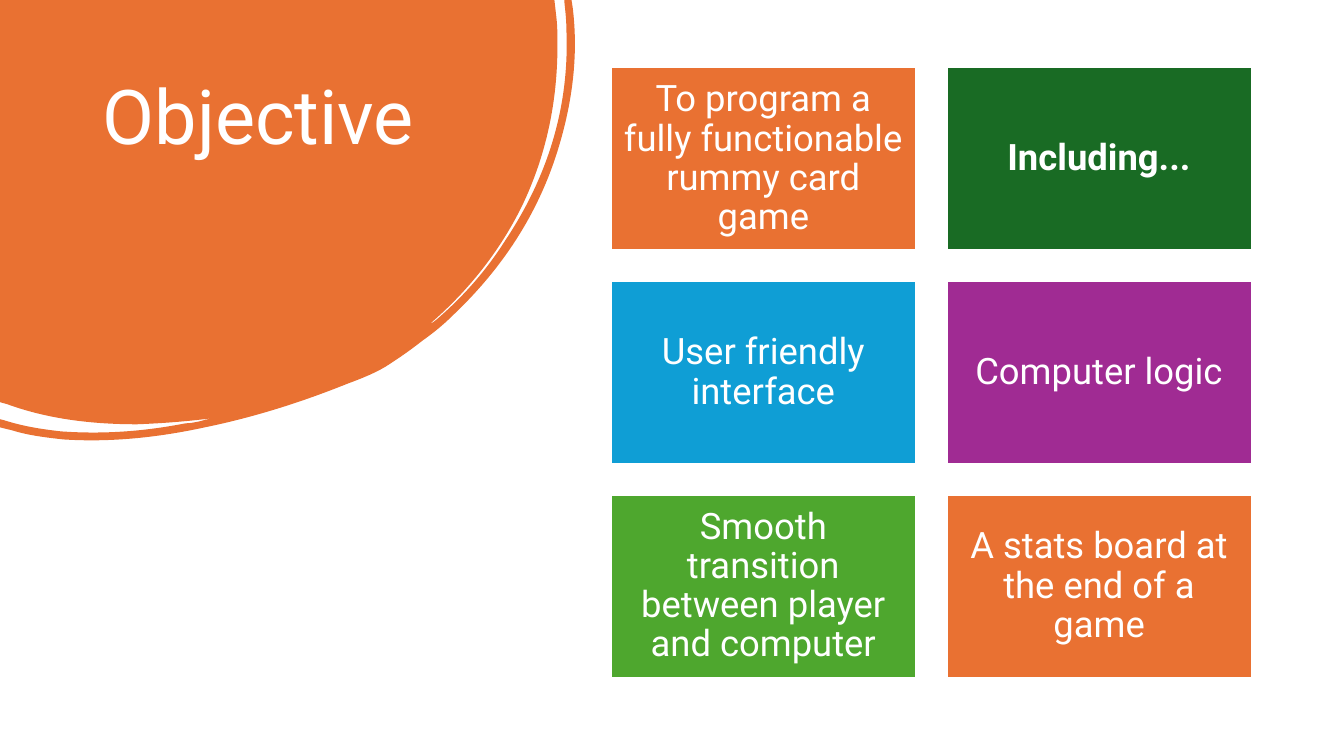
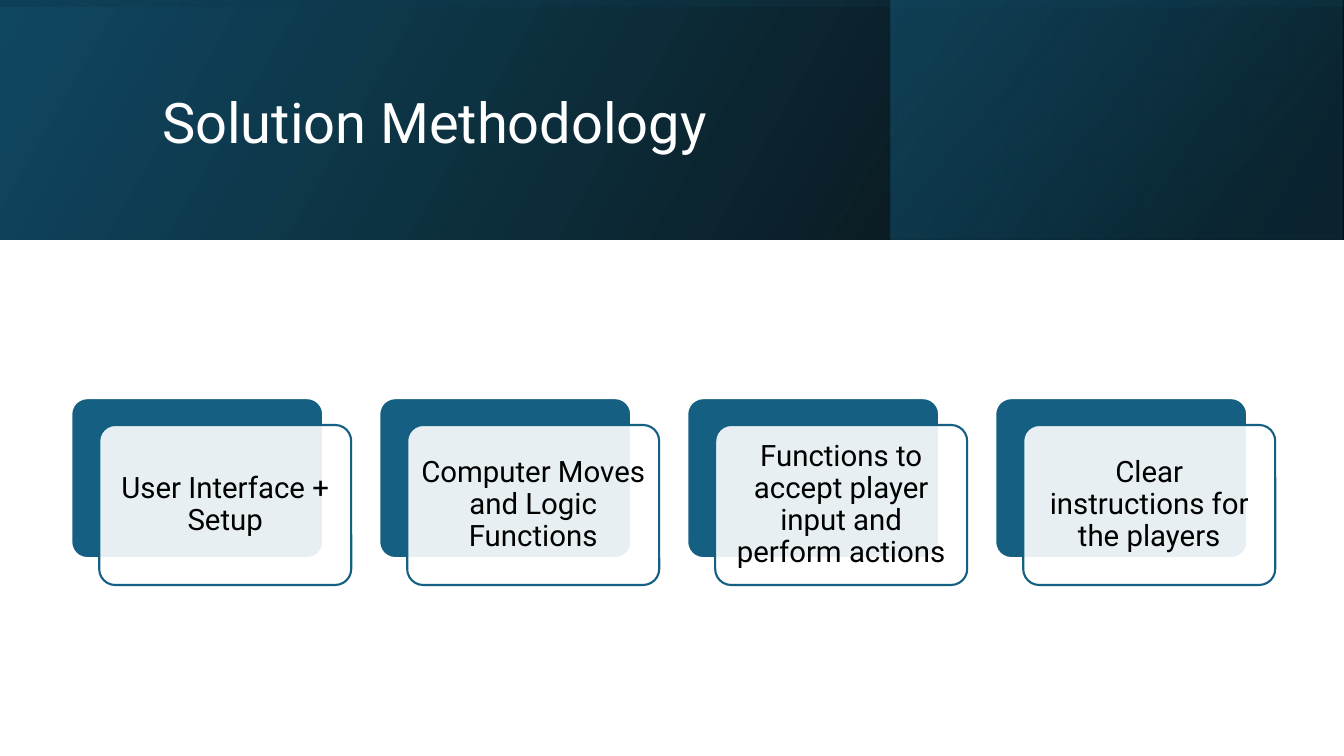
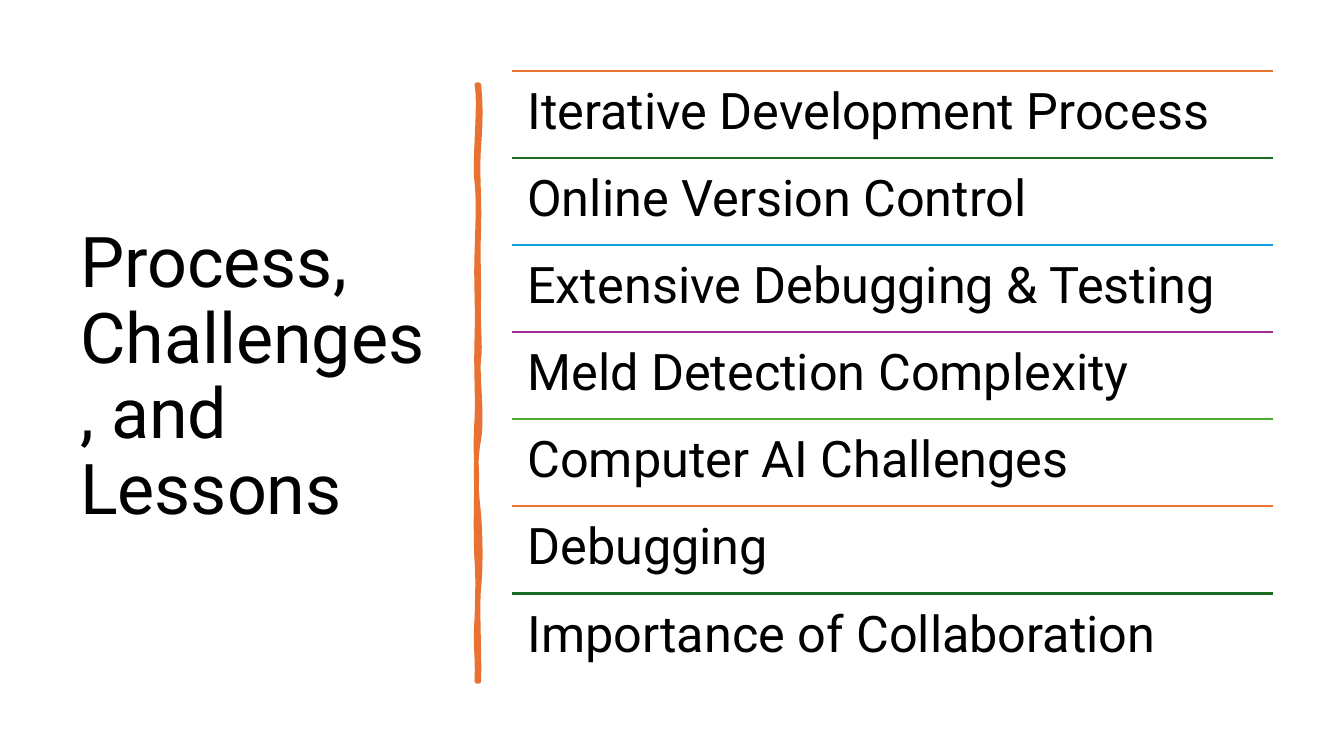
import pptx
import pptx.util
import pptx.dml.color
import pptx.enum.shapes
import pptx.enum.text
import pptx.oxml.ns
from lxml import etree

Pt = pptx.util.Pt
RGB = pptx.dml.color.RGBColor
SHAPE = pptx.enum.shapes.MSO_SHAPE
LINE = pptx.enum.shapes.MSO_CONNECTOR.STRAIGHT
ALIGN = pptx.enum.text.PP_ALIGN
ANCHOR = pptx.enum.text.MSO_ANCHOR
qn = pptx.oxml.ns.qn

# Shared style
FONT = "Roboto"
WHITE = RGB(0xFF, 0xFF, 0xFF)
BLACK = RGB(0x00, 0x00, 0x00)
ORANGE = RGB(0xE9, 0x71, 0x32)
DARK_GREEN = RGB(0x19, 0x6B, 0x24)
BLUE = RGB(0x0F, 0x9E, 0xD5)
PURPLE = RGB(0xA0, 0x2B, 0x93)
GREEN = RGB(0x4E, 0xA7, 0x2E)
TEAL = RGB(0x15, 0x60, 0x82)
NAVY = RGB(0x10, 0x48, 0x62)
DEEP = RGB(0x0B, 0x30, 0x41)
ACCENTS = [ORANGE, DARK_GREEN, BLUE, PURPLE, GREEN]


def write(sp, text, size, color, align, anchor, inset_x, inset_y, bold=False):
    """Set one formatted paragraph in a shape."""
    tf = sp.text_frame
    tf.word_wrap = True
    tf.auto_size = pptx.enum.text.MSO_AUTO_SIZE.NONE
    tf.vertical_anchor = anchor
    tf.margin_left = tf.margin_right = Pt(inset_x)
    tf.margin_top = tf.margin_bottom = Pt(inset_y)
    p = tf.paragraphs[0]
    p.alignment = align
    p.line_spacing = 0.9
    r = p.add_run()
    r.text = text
    r.font.name = FONT
    r.font.size = Pt(size)
    r.font.bold = bold
    r.font.color.rgb = color


def add_outline(s, start, segments):
    """Add an orange freeform behind the title; six numbers make a Bezier curve."""
    fb = s.shapes.build_freeform(Pt(start[0]), Pt(start[1]))
    fb.add_line_segments([(Pt(seg[-2]), Pt(seg[-1])) for seg in segments], close=True)
    sp = fb.convert_to_shape()
    sp.shadow.inherit = False
    sp.fill.solid()
    sp.fill.fore_color.rgb = ORANGE
    # Turn the straight segments that have control points into curves
    for step, seg in zip(list(sp._element.spPr.iter(qn("a:lnTo"))), segments):
        if len(seg) == 6:
            step.tag = qn("a:cubicBezTo")
            for i in (0, 1):
                pt = etree.Element(qn("a:pt"))
                pt.set("x", str(Pt(seg[2 * i]) - sp.left))
                pt.set("y", str(Pt(seg[2 * i + 1]) - sp.top))
                step.insert(i, pt)
    s.shapes._spTree.insert(2, sp._element)
    return sp


prs = pptx.Presentation()
prs.slide_width, prs.slide_height = Pt(960), Pt(540)

# Slides and titles
titles = [
    ("Objective", 54, WHITE, ANCHOR.TOP, (66.2, 53.3, 253.4, 159.8)),
    ("Solution Methodology", 40, WHITE, ANCHOR.MIDDLE, (108.7, 27.4, 765.4, 123.8)),
    ("Process, Challenges, and Lessons", 50, BLACK, ANCHOR.MIDDLE,
     (50, 50.4, 269.3, 439.9)),
]
for text, size, color, anchor, box in titles:
    s = prs.slides.add_slide(prs.slide_layouts[5])
    sp = s.shapes.title
    sp.left, sp.top, sp.width, sp.height = [Pt(v) for v in box]
    write(sp, text, size, color, ALIGN.LEFT, anchor, 7.2, 3.6)
objective, methodology, process = prs.slides

# Objective: corner blob with a brushed rim
blob = add_outline(objective, (0, 0), [
    (396, 0), (397.4, 12.2),
    (398.2, 18.7, 398.2, 25.9, 398.2, 32.4),
    (398.2, 72.7, 390.2, 110.9, 373, 146.9),
    (357.1, 179.3, 334.8, 207.4, 307.4, 231.1),
    (308.9, 231.1, 309.6, 229.7, 311, 229),
    (330.5, 212.4, 347, 193.7, 360.7, 172.1),
    (391, 126.7, 406.8, 77, 404.6, 21.6),
    (404.6, 15.1, 403.9, 8.6, 403.2, 2.2),
    (403.2, 0), (408.2, 0), (409, 5),
    (413.3, 38.9, 409, 73.4, 398.2, 108),
    (383.8, 154.1, 357.8, 193, 322.6, 226.1),
    (316.1, 232.6, 308.9, 238.3, 301.7, 243.4),
    (294.5, 249.1, 287.3, 254.2, 278.6, 259.9),
    (270, 265.7, 259.2, 270, 247.7, 274.3),
    (215.3, 287.3, 181.4, 298.1, 146.2, 305.3),
    (113, 312.5, 79.2, 316.1, 45.4, 313.9),
    (32.4, 312.5, 20.2, 311, 8.6, 307.4),
    (0, 305.3), (0, 299.5), (2.9, 300.2),
    (16.6, 304.6, 30.2, 306.7, 43.9, 308.2),
    (74.2, 310.3, 103, 308.2, 132.5, 302.4),
    (136.1, 302.4, 139, 301.7, 142.6, 301),
    (145.4, 300.2, 148.3, 299.5, 151.2, 298.8),
    (133.9, 301, 115.9, 302.4, 97.9, 303.1),
    (66.2, 303.1, 34.6, 299.5, 5, 288.7),
    (0, 287.3),
])
blob.line.fill.background()

# Objective: two-column grid of cards
goals = [
    "To program a fully functionable rummy card game",
    "Including...",
    "User friendly interface",
    "Computer logic",
    "Smooth transition between player and computer",
    "A stats board at the end of a game",
]
for i, text in enumerate(goals):
    row, col = divmod(i, 2)
    sp = objective.shapes.add_shape(SHAPE.RECTANGLE, Pt(436.3 + 239.8 * col),
                                    Pt(48.2 + 152.6 * row), Pt(218), Pt(130.8))
    sp.shadow.inherit = False
    sp.fill.solid()
    sp.fill.fore_color.rgb = ACCENTS[i % len(ACCENTS)]
    sp.line.color.rgb = WHITE
    sp.line.width = Pt(1.5)
    write(sp, text, 26, WHITE, ALIGN.CENTER, ANCHOR.MIDDLE, 7.8, 7.8, bold=(i == 1))

# Methodology: layered gradient band; stops are position, colour, opacity
band_layers = [
    (0, 960, 150, [(0, BLACK, 96), (1, NAVY, 100)]),
    (636.2, 322.8, 140, [(0.19, DEEP, 68), (1, TEAL, 48)]),
    (0, 960, 260, [(0.23, NAVY, 16), (0.99, BLACK, 45)]),
]
for i, (left, width, angle, stops) in enumerate(band_layers):
    sp = methodology.shapes.add_shape(SHAPE.RECTANGLE, Pt(left), 0, Pt(width), Pt(171))
    sp.shadow.inherit = False
    sp.line.fill.background()
    sp.fill.gradient()
    sp.fill.gradient_angle = angle
    for gs, (position, color, opacity) in zip(sp.fill.gradient_stops, stops):
        gs.position = position
        gs.color.rgb = color
    for clr, stop in zip(sp._element.spPr.iter(qn("a:srgbClr")), stops):
        etree.SubElement(clr, qn("a:alpha")).set("val", str(stop[2] * 1000))
    methodology.shapes._spTree.insert(2 + i, sp._element)

# Methodology: four steps, each a solid back card and a translucent front card
steps = [
    "User Interface + Setup",
    "Computer Moves and Logic Functions",
    "Functions to accept player input and perform actions",
    "Clear instructions for the players",
]
for i, text in enumerate(steps):
    for dx, dy, fill, edge in [(0, 0, TEAL, WHITE), (20, 19.2, WHITE, TEAL)]:
        sp = methodology.shapes.add_shape(SHAPE.ROUNDED_RECTANGLE, Pt(50.9 + 220 * i + dx),
                                          Pt(284.4 + dy), Pt(180), Pt(114.3))
        sp.adjustments[0] = 0.1
        sp.shadow.inherit = False
        sp.fill.solid()
        sp.fill.fore_color.rgb = fill
        sp.line.color.rgb = edge
        sp.line.width = Pt(1.5)
    clr = sp._element.spPr.find(qn("a:solidFill")).find(qn("a:srgbClr"))
    etree.SubElement(clr, qn("a:alpha")).set("val", "90000")
    write(sp, text, 21, BLACK, ALIGN.CENTER, ANCHOR.MIDDLE, 6, 6)

# Process: hand-drawn divider
divider = add_outline(process, (342, 60.5), [
    (343.4, 73.4, 343.4, 85.7, 342, 105.1),
    (340.6, 124.6, 342.7, 140.4, 342, 162.7),
    (341.3, 185, 342, 188.6, 342, 211.7),
    (341.3, 234, 343.4, 246.2, 342, 256.3),
    (340.6, 266.4, 344.9, 298.1, 342, 313.9),
    (339.1, 329, 339.8, 348.5, 342, 367.2),
    (343.4, 385.9, 343.4, 406.1, 342, 420.5),
    (340.6, 434.2, 342.7, 468, 342, 486.7),
    (340.6, 486.7),
    (341.3, 465.1, 339.1, 463.7, 340.6, 441.4),
    (341.3, 419.8, 341.3, 410.4, 340.6, 401),
    (339.8, 391.7, 339.8, 356.4, 340.6, 343.4),
    (340.6, 330.5, 339.1, 320.4, 340.6, 298.8),
    (341.3, 277.9, 339.8, 268.6, 340.6, 241.2),
    (341.3, 214.6, 339.8, 202.3, 340.6, 180),
    (341.3, 157, 342, 144, 340.6, 130.3),
    (338.4, 117.4, 343.4, 74.9, 340.6, 60.5),
])
divider.line.color.rgb = ORANGE
divider.line.width = Pt(3.25)

# Process: ruled list
lessons = [
    "Iterative Development Process",
    "Online Version Control",
    "Extensive Debugging & Testing",
    "Meld Detection Complexity",
    "Computer AI Challenges",
    "Debugging",
    "Importance of Collaboration",
]
left, width, pitch = 365.9, 543.5, 62.25
for i, text in enumerate(lessons):
    top = 50.4 + pitch * i
    rule = process.shapes.add_connector(LINE, Pt(left), Pt(top), Pt(left + width), Pt(top))
    rule.line.color.rgb = ACCENTS[i % len(ACCENTS)]
    rule.line.width = Pt(1.5)
    etree.SubElement(rule._element.spPr, qn("a:effectLst"))
    sp = process.shapes.add_textbox(Pt(left), Pt(top), Pt(width), Pt(pitch))
    write(sp, text, 36, BLACK, ALIGN.LEFT, ANCHOR.TOP, 10.8, 10.8)

prs.save("out.pptx")
